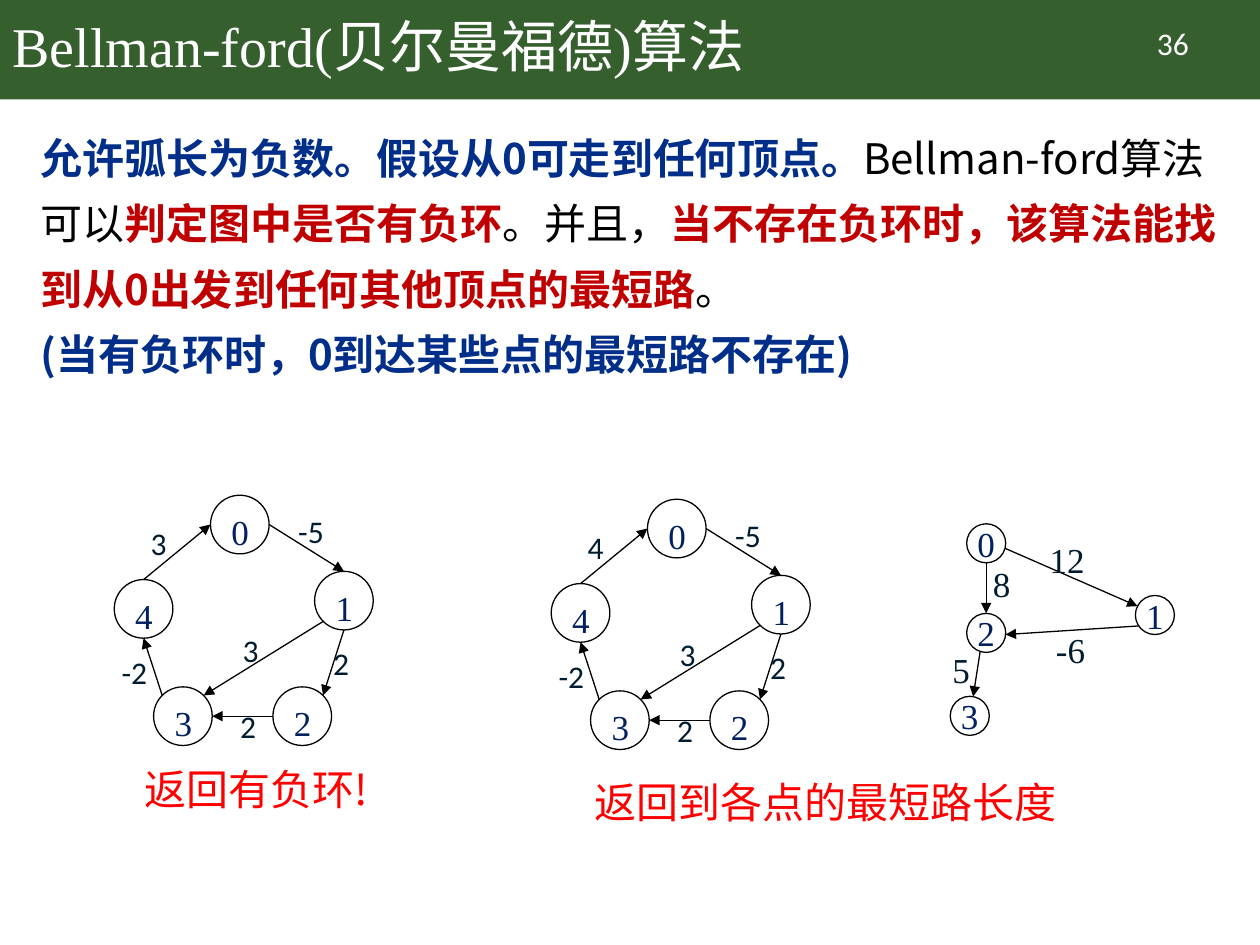
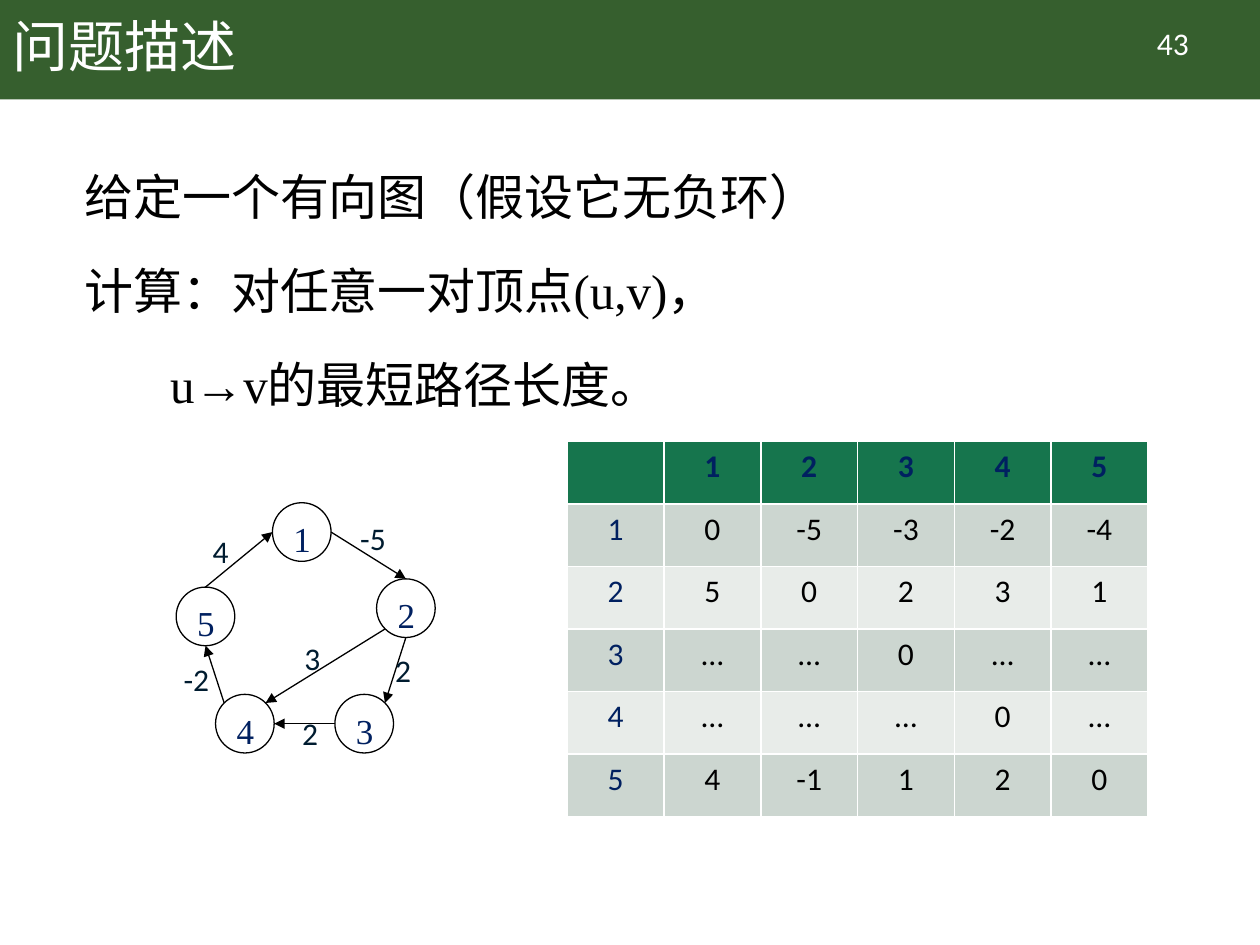
from dataclasses import dataclass
from math import cos, radians, sin

from lxml.etree import SubElement
from pptx import Presentation
from pptx.dml.color import RGBColor
from pptx.enum.shapes import MSO_CONNECTOR, MSO_SHAPE
from pptx.enum.text import MSO_ANCHOR, MSO_AUTO_SIZE, PP_ALIGN
from pptx.oxml.ns import qn
from pptx.util import Pt


@dataclass(frozen=True)
class Theme:
    band: str = "365F2E"
    white: str = "FFFFFF"
    black: str = "000000"
    blue: str = "002E89"
    dark_red: str = "C00000"
    red: str = "FF0000"
    node: str = "002060"
    weight: str = "001C30"
    table_header: str = "16754D"
    table_rows: tuple = ("CCD6D0", "E8ECE9")
    serif: str = "Times New Roman"
    sans: str = "Calibri"
    chinese: str = "Noto Sans CJK SC"
    title_size: int = 32
    statement_size: int = 28
    body_size: int = 24
    node_size: int = 20
    small_size: int = 18


THEME = Theme()
BAND_HEIGHT = 56.8

# Graphs: nodes are offsets in the box, edges are (node, angle, node, angle),
# angles run clockwise from the right; weights are label offsets.
RING_NODES = [(55, 0), (114.5, 43.5), (90.7, 109.5), (22.5, 109.5), (0, 48.2)]
RING_EDGES = [(4, 270, 0, 180), (0, 0, 1, 270), (1, 135, 3, 315),
              (3, 225, 4, 90), (1, 90, 2, 315), (2, 180, 3, 0)]
RING_WEIGHTS = [(13.7, 13), (98, 5.8), (66.2, 74.2), (-2.9, 86.4), (118, 81.4), (64.8, 117.4)]
TREE_NODES = [(9.4, 0), (105.8, 41), (9.4, 51.2), (0, 98.6)]
TREE_EDGES = [(0, 90, 2, 270), (0, 15, 1, 207), (1, 146, 2, 5), (2, 108, 3, 280)]
TREE_WEIGHTS = [(17.3, 18.7), (49.7, 5), (53.3, 56.2), (-5.8, 67.7)]


def color(value):
    return RGBColor.from_string(value)


def points(*values):
    return [Pt(value) for value in values]


def write(frame, text, *, font=THEME.chinese, size=THEME.body_size, fill=THEME.black,
          bold=False, align=PP_ALIGN.LEFT, line_spacing=None, gap=0, indents=()):
    """Fill a frame; text is a string or a list of paragraphs of (text, fill, bold) runs."""
    paragraphs = [[(text, fill, bold)]] if isinstance(text, str) else text
    for index, runs in enumerate(paragraphs):
        paragraph = frame.paragraphs[0] if index == 0 else frame.add_paragraph()
        properties = paragraph._p.get_or_add_pPr()
        properties.set("marL", str(Pt(indents[index]) if indents else 0))
        properties.set("indent", "0")
        SubElement(properties, qn("a:buNone"))
        paragraph.alignment = align
        paragraph.space_before = Pt(gap if index else 0)
        if line_spacing:
            paragraph.line_spacing = line_spacing
        for run_text, run_fill, run_bold in runs:
            run = paragraph.add_run()
            run.text = run_text
            run.font.name = font
            run.font.size = Pt(size)
            run.font.bold = run_bold
            run.font.color.rgb = color(run_fill)
            SubElement(run._r.get_or_add_rPr(), qn("a:ea"), typeface=THEME.chinese)


def add_label(shapes, box, text, wrap=True, **text_format):
    label = shapes.add_textbox(*points(*box))
    label.text_frame.word_wrap = wrap
    write(label.text_frame, text, **text_format)


def place(placeholder, box, anchor):
    placeholder.left, placeholder.top, placeholder.width, placeholder.height = points(*box)
    frame = placeholder.text_frame
    frame.auto_size = MSO_AUTO_SIZE.NONE
    frame.vertical_anchor = anchor
    return frame


def add_band(presentation, slide):
    """Draw the title band and move it to the back of the master."""
    band = slide.shapes.add_shape(MSO_SHAPE.RECTANGLE, 0, 0,
                                  presentation.slide_width, Pt(BAND_HEIGHT))
    band.shadow.inherit = False
    band.fill.solid()
    band.fill.fore_color.rgb = color(THEME.band)
    band.line.fill.background()
    band.element.nvSpPr.cNvPr.id = 50
    presentation.slide_master.shapes[0].element.addprevious(band.element)


def add_page(presentation, title, title_font, number):
    slide = presentation.slides.add_slide(presentation.slide_layouts[1])
    frame = place(slide.shapes.title, (0, 0, 620.6, BAND_HEIGHT), MSO_ANCHOR.MIDDLE)
    write(frame, title, font=title_font, size=THEME.title_size, fill=THEME.white,
          line_spacing=0.9)
    add_label(slide.shapes, (627, 10.2, 86.4, 29), number, font=THEME.sans,
              size=THEME.small_size, fill=THEME.white, align=PP_ALIGN.CENTER)
    return slide


def add_node(shapes, left, top, diameter, name, centered):
    node = shapes.add_shape(MSO_SHAPE.OVAL, *points(left, top, diameter, diameter))
    node.shadow.inherit = False
    node.fill.background()
    node.line.color.rgb = color(THEME.black)
    node.line.width = Pt(0.75)
    frame = node.text_frame
    frame.word_wrap = not centered
    frame.vertical_anchor = MSO_ANCHOR.MIDDLE if centered else MSO_ANCHOR.TOP
    write(frame, name, font=THEME.serif, size=THEME.node_size, fill=THEME.node,
          align=PP_ALIGN.CENTER if centered else PP_ALIGN.LEFT)


def add_arrow(shapes, start, end):
    arrow = shapes.add_connector(MSO_CONNECTOR.STRAIGHT, *points(*start, *end))
    arrow.line.color.rgb = color(THEME.black)
    arrow.line.width = Pt(0.75)
    SubElement(arrow.line._get_or_add_ln(), qn("a:tailEnd"), type="triangle")
    SubElement(arrow.element.spPr, qn("a:effectLst"))


def add_graph(slide, left, top, nodes, edges, diameter, names, weights, centered=False):
    """Draw nodes and directed edges in a group whose corner is (left, top)."""
    shapes = slide.shapes.add_group_shape().shapes
    radius = diameter / 2

    def rim(index, angle):
        x, y = nodes[index]
        return (left + x + radius * (1 + cos(radians(angle))),
                top + y + radius * (1 + sin(radians(angle))))

    for (x, y), name in zip(nodes, names):
        add_node(shapes, left + x, top + y, diameter, name, centered)
    for source, leaving, target, arriving in edges:
        add_arrow(shapes, rim(source, leaving), rim(target, arriving))
    for x, y, width, height, text in weights:
        add_label(shapes, (left + x, top + y, width, height), text, wrap=not centered,
                  font=THEME.serif if centered else THEME.sans,
                  size=THEME.node_size if centered else THEME.small_size,
                  fill=THEME.weight)


def add_ring(slide, left, top, names, first_weight):
    texts = [first_weight, "-5", "3", "-2", "2", "2"]
    weights = [(x, y, 49, 29, text) for (x, y), text in zip(RING_WEIGHTS, texts)]
    add_graph(slide, left, top, RING_NODES, RING_EDGES, 33.5, names, weights)


def add_tree(slide, left, top):
    labels = zip(TREE_WEIGHTS, (24.5, 34.6, 31.7, 27.4), ("8", "12", "-6", "5"))
    weights = [(x, y, width, 31.5, text) for (x, y), width, text in labels]
    add_graph(slide, left, top, TREE_NODES, TREE_EDGES, 22.3, "0123", weights, centered=True)


def add_distance_table(slide, left, top, width, height, rows):
    count = len(rows)
    table = slide.shapes.add_table(count, count, *points(left, top, width, height)).table
    for row_index, row in enumerate(rows):
        table.rows[row_index].height = Pt(height / count)
        for column_index, text in enumerate(row):
            cell = table.cell(row_index, column_index)
            cell.fill.solid()
            cell.fill.fore_color.rgb = color(
                THEME.table_rows[(row_index - 1) % 2] if row_index else THEME.table_header)
            is_heading = row_index == 0 or column_index == 0
            if text:
                write(cell.text_frame, text, font=THEME.sans, size=THEME.small_size,
                      fill=THEME.node if is_heading else THEME.black,
                      bold=row_index == 0, align=PP_ALIGN.CENTER)


def build_algorithm_slide(presentation):
    slide = add_page(presentation, "Bellman-ford(贝尔曼福德)算法", THEME.serif, "36")
    add_band(presentation, slide)

    # Explanation
    frame = place(slide.placeholders[1], (15.8, 63.4, 689, 465.8), MSO_ANCHOR.TOP)
    write(frame, [
        [("允许弧长为负数。假设从0可走到任何顶点。", THEME.blue, True),
         ("Bellman-ford算法可以", THEME.black, False),
         ("判定图中是否有负环", THEME.dark_red, True),
         ("。并且，", THEME.black, False),
         ("当不存在负环时，该算法能找到从0出发到任何其他顶点的最短路", THEME.dark_red, True),
         ("。", THEME.black, False)],
        [("(当有负环时，0到达某些点的最短路不存在)", THEME.blue, True)],
    ], line_spacing=1.3)

    # Example graphs and their results
    add_ring(slide, 65.3, 283, "01234", "3")
    add_ring(slide, 315, 285.3, "01234", "4")
    add_tree(slide, 543, 299.3)
    add_label(slide.shapes, (75.6, 432.7, 155.5, 36), "返回有负环!", fill=THEME.red)
    add_label(slide.shapes, (332.6, 440, 299.5, 36), "返回到各点的最短路长度", fill=THEME.red)


def build_problem_slide(presentation):
    slide = add_page(presentation, "问题描述", THEME.chinese, "43")

    # Problem statement
    frame = place(slide.placeholders[1], (41, 81.4, 638, 397.4), MSO_ANCHOR.TOP)
    lines = ["给定一个有向图（假设它无负环）", "计算：对任意一对顶点(u,v)，", "u→v的最短路径长度。"]
    write(frame, [[(line, THEME.black, False)] for line in lines], font=THEME.serif,
          size=THEME.statement_size, line_spacing=1.3, gap=10, indents=(0, 0, 49))

    # Example graph and its distances
    add_ring(slide, 100.7, 287.3, "12345", "4")
    add_distance_table(slide, 324.2, 252.2, 331.8, 214.5, [
        ["", "1", "2", "3", "4", "5"],
        ["1", "0", "-5", "-3", "-2", "-4"],
        ["2", "5", "0", "2", "3", "1"],
        ["3", "…", "…", "0", "…", "…"],
        ["4", "…", "…", "…", "0", "…"],
        ["5", "4", "-1", "1", "2", "0"],
    ])


def main():
    presentation = Presentation()
    presentation.slide_width, presentation.slide_height = points(720, 540)
    build_algorithm_slide(presentation)
    build_problem_slide(presentation)
    presentation.save("out.pptx")


if __name__ == "__main__":
    main()
